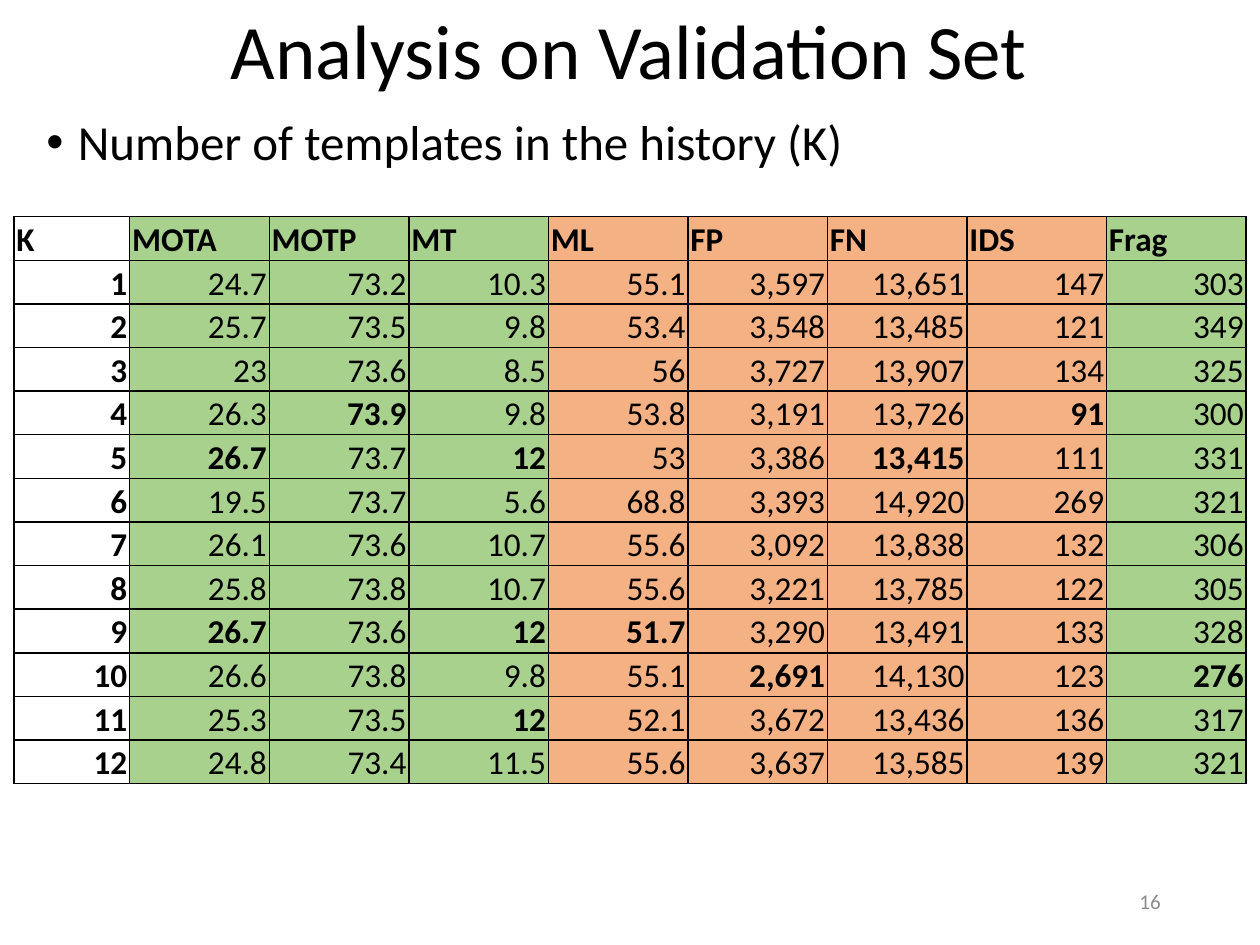
from dataclasses import dataclass

from lxml.etree import SubElement
from pptx import Presentation
from pptx.dml.color import RGBColor
from pptx.enum.text import MSO_ANCHOR, MSO_AUTO_SIZE, PP_ALIGN
from pptx.oxml.ns import qn
from pptx.util import Inches, Pt

TITLE = "Analysis on Validation Set"
BULLET = "Number of templates in the history (K)"
PAGE_NUMBER = "16"

COLUMNS = [
    ("K", None, None),
    ("MOTA", "green", max),
    ("MOTP", "green", max),
    ("MT", "green", max),
    ("ML", "orange", min),
    ("FP", "orange", min),
    ("FN", "orange", min),
    ("IDS", "orange", min),
    ("Frag", "green", min),
]
RESULTS = [
    (1, 24.7, 73.2, 10.3, 55.1, 3597, 13651, 147, 303),
    (2, 25.7, 73.5, 9.8, 53.4, 3548, 13485, 121, 349),
    (3, 23, 73.6, 8.5, 56, 3727, 13907, 134, 325),
    (4, 26.3, 73.9, 9.8, 53.8, 3191, 13726, 91, 300),
    (5, 26.7, 73.7, 12, 53, 3386, 13415, 111, 331),
    (6, 19.5, 73.7, 5.6, 68.8, 3393, 14920, 269, 321),
    (7, 26.1, 73.6, 10.7, 55.6, 3092, 13838, 132, 306),
    (8, 25.8, 73.8, 10.7, 55.6, 3221, 13785, 122, 305),
    (9, 26.7, 73.6, 12, 51.7, 3290, 13491, 133, 328),
    (10, 26.6, 73.8, 9.8, 55.1, 2691, 14130, 123, 276),
    (11, 25.3, 73.5, 12, 52.1, 3672, 13436, 136, 317),
    (12, 24.8, 73.4, 11.5, 55.6, 3637, 13585, 139, 321),
]


@dataclass(frozen=True)
class Theme:
    font: str = "Calibri"
    black: str = "000000"
    gray: str = "8C8C8C"
    green: str = "A9D18E"
    orange: str = "F4B183"
    title_size: float = 44
    bullet_size: float = 28
    table_size: float = 19
    number_size: float = 12


THEME = Theme()
SLIDE_WIDTH, SLIDE_HEIGHT = Inches(10), Inches(7.5)
TITLE_BOX = (0.51, 0.05, 8.97, 0.77)
BULLET_BOX = (0.27, 0.89, 9.21, 0.53)
NUMBER_BOX = (7.06, 6.95, 2.25, 0.4)
TABLE_BOX = (0.11, 1.72, 9.78, 4.5)
KEY_WIDTH = 0.92
CELL_INSET = Inches(0.02)


def write_text(frame, text, size, color=THEME.black, bold=False, align=PP_ALIGN.LEFT,
               anchor=MSO_ANCHOR.TOP, line_spacing=None, space_before=None):
    frame.vertical_anchor = anchor
    paragraph = frame.paragraphs[0]
    paragraph.alignment = align
    if line_spacing:
        paragraph.line_spacing = line_spacing
    if space_before:
        paragraph.space_before = Pt(space_before)
    run = paragraph.add_run()
    run.text = text
    run.font.name = THEME.font
    run.font.size = Pt(size)
    run.font.bold = bold
    run.font.color.rgb = RGBColor.from_string(color)
    return paragraph


def add_text_box(slide, box, text, size, **text_format):
    shape = slide.shapes.add_textbox(*map(Inches, box))
    shape.text_frame.word_wrap = True
    return write_text(shape.text_frame, text, size, **text_format)


def add_bullet(paragraph, indent):
    properties = paragraph._p.get_or_add_pPr()
    properties.set("marL", str(indent))
    properties.set("indent", str(-indent))
    SubElement(properties, qn("a:buFont")).set("typeface", "Arial")
    SubElement(properties, qn("a:buChar")).set("char", "•")


def add_borders(cell):
    properties = cell._tc.get_or_add_tcPr()
    for side in ("a:lnL", "a:lnR", "a:lnT", "a:lnB"):
        line = SubElement(properties, qn(side), w=str(Pt(1)))
        fill = SubElement(line, qn("a:solidFill"))
        SubElement(fill, qn("a:srgbClr")).set("val", THEME.black)


def format_cell(cell, text, color_name, bold, align):
    cell.margin_left = cell.margin_right = cell.margin_top = CELL_INSET
    cell.margin_bottom = 0
    add_borders(cell)
    if color_name:
        cell.fill.solid()
        cell.fill.fore_color.rgb = RGBColor.from_string(getattr(THEME, color_name))
    else:
        cell.fill.background()
    write_text(cell.text_frame, text, THEME.table_size, bold=bold, align=align)
    cell.vertical_anchor = MSO_ANCHOR.BOTTOM


def add_results_table(slide):
    row_count, column_count = len(RESULTS) + 1, len(COLUMNS)
    table = slide.shapes.add_table(row_count, column_count, *map(Inches, TABLE_BOX)).table
    table.first_row = table.horz_banding = False
    metric_width = (TABLE_BOX[2] - KEY_WIDTH) / (column_count - 1)
    for row in table.rows:
        row.height = Inches(TABLE_BOX[3] / row_count)
    for index, (name, color_name, best) in enumerate(COLUMNS):
        table.columns[index].width = Inches(metric_width if index else KEY_WIDTH)
        format_cell(table.cell(0, index), name, color_name, True, PP_ALIGN.LEFT)
        values = [result[index] for result in RESULTS]
        for row_index, value in enumerate(values, start=1):
            bold = best is None or value == best(values)
            format_cell(table.cell(row_index, index), f"{value:,}", color_name, bold,
                        PP_ALIGN.RIGHT)


def main():
    presentation = Presentation()
    presentation.slide_width, presentation.slide_height = SLIDE_WIDTH, SLIDE_HEIGHT
    slide = presentation.slides.add_slide(presentation.slide_layouts.get_by_name("Title Only"))

    title = slide.shapes.title
    title.left, title.top, title.width, title.height = map(Inches, TITLE_BOX)
    title.text_frame.auto_size = MSO_AUTO_SIZE.NONE
    write_text(title.text_frame, TITLE, THEME.title_size, align=PP_ALIGN.CENTER,
               anchor=MSO_ANCHOR.MIDDLE, line_spacing=0.9)

    bullet = add_text_box(slide, BULLET_BOX, BULLET, THEME.bullet_size,
                          line_spacing=0.9, space_before=10)
    add_bullet(bullet, Inches(0.25))
    add_results_table(slide)
    add_text_box(slide, NUMBER_BOX, PAGE_NUMBER, THEME.number_size, color=THEME.gray,
                 align=PP_ALIGN.RIGHT, anchor=MSO_ANCHOR.MIDDLE)
    presentation.save("out.pptx")


if __name__ == "__main__":
    main()
